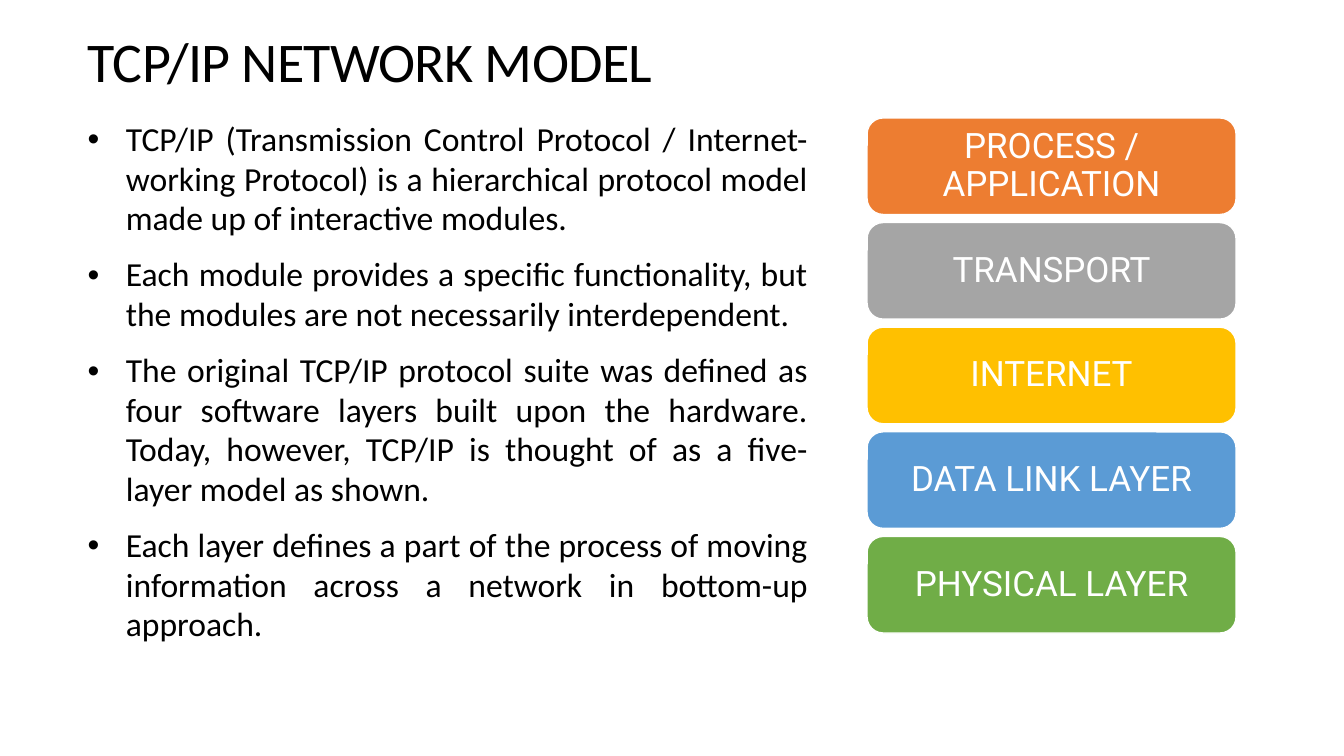
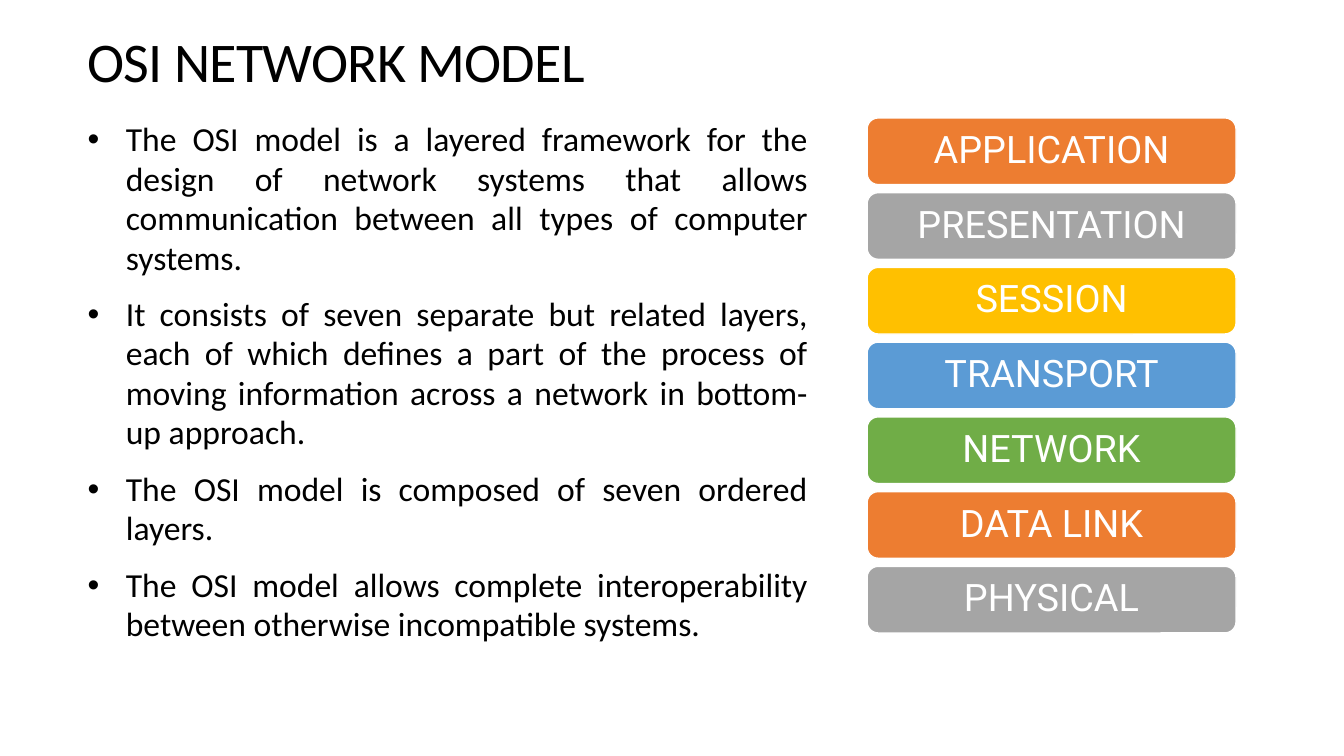
from itertools import cycle

from lxml.etree import SubElement
from pptx import Presentation
from pptx.dml.color import RGBColor
from pptx.enum.shapes import MSO_SHAPE
from pptx.enum.text import MSO_ANCHOR, PP_ALIGN
from pptx.oxml.ns import qn
from pptx.util import Pt

PX = 9144  # 100 px to the inch

BLACK, WHITE = "000000", "FFFFFF"
LAYER_COLOURS = ["ED7D31", "A5A5A5", "FFC000", "5B9BD5", "70AD47"]

TITLE_AREA = (77, 16, 1100, 97)
BODY_AREA = (77, 114, 734, 518)
STACK_AREA = (860, 117, 366, 511)
STACK_GAP = 8
BULLET_INDENT = 38

TITLE_FONT = {"name": "Calibri", "size": Pt(40)}
BODY_FONT = {"name": "Calibri", "size": Pt(24)}
TITLE_FORMAT = {"line_spacing": 0.85}
BODY_FORMAT = {"alignment": PP_ALIGN.JUSTIFY, "line_spacing": 0.98, "space_after": Pt(12)}
LAYER_FORMAT = {"alignment": PP_ALIGN.CENTER, "line_spacing": 0.9}

MODELS = [
    {
        "title": "TCP/IP NETWORK MODEL",
        "points": [
            "TCP/IP (Transmission Control Protocol / Internet-working Protocol) is a "
            "hierarchical protocol model made up of interactive modules.",
            "Each module provides a specific functionality, but the modules are not "
            "necessarily interdependent.",
            "The original TCP/IP protocol suite was defined as four software layers built "
            "upon the hardware. Today, however, TCP/IP is thought of as a five-layer model "
            "as shown.",
            "Each layer defines a part of the process of moving information across a "
            "network in bottom-up approach.",
        ],
        "layers": ["PROCESS / APPLICATION", "TRANSPORT", "INTERNET",
                   "DATA LINK LAYER", "PHYSICAL LAYER"],
        "layer_size": 25,
    },
    {
        "title": "OSI NETWORK MODEL",
        "points": [
            "The OSI model is a layered framework for the design of network systems that "
            "allows communication between all types of computer systems.",
            "It consists of seven separate but related layers, each of which defines a part "
            "of the process of moving information across a network in bottom-up approach.",
            "The OSI model is composed of seven ordered layers.",
            "The OSI model allows complete interoperability between otherwise incompatible "
            "systems.",
        ],
        "layers": ["APPLICATION", "PRESENTATION", "SESSION", "TRANSPORT",
                   "NETWORK", "DATA LINK", "PHYSICAL"],
        "layer_size": 27,
    },
]


def emu(*lengths):
    return [round(length * PX) for length in lengths]


def colour(hex_text):
    return RGBColor.from_string(hex_text)


def set_all(target, values):
    for name, value in values.items():
        setattr(target, name, value)


def write(para, text, para_format, font, text_colour):
    set_all(para, para_format)
    span = para.add_run()
    span.text = text
    set_all(span.font, font)
    span.font.color.rgb = colour(text_colour)
    return span


def add_bullet(para):
    properties = para._p.get_or_add_pPr()
    indent, = emu(BULLET_INDENT)
    properties.set("marL", str(indent))
    properties.set("indent", str(-indent))
    SubElement(properties, qn("a:buFont")).set("typeface", "Arial")
    SubElement(properties, qn("a:buChar")).set("char", "•")


def add_text_box(page, area, anchor):
    frame = page.shapes.add_textbox(*emu(*area)).text_frame
    set_all(frame, {"word_wrap": True, "vertical_anchor": anchor})
    return frame


def add_title(page, title):
    frame = add_text_box(page, TITLE_AREA, MSO_ANCHOR.MIDDLE)
    span = write(frame.paragraphs[0], title, TITLE_FORMAT, TITLE_FONT, BLACK)
    span.font._element.set("spc", "-50")


def add_points(page, points):
    frame = add_text_box(page, BODY_AREA, MSO_ANCHOR.TOP)
    for index, point in enumerate(points):
        para = frame.add_paragraph() if index else frame.paragraphs[0]
        write(para, point, BODY_FORMAT, BODY_FONT, BLACK)
        add_bullet(para)


def add_layers(page, layers, size):
    """Stack the layers at equal heights to fill the stack area."""
    left, top, width, total = STACK_AREA
    height = (total - STACK_GAP * (len(layers) - 1)) / len(layers)
    margin, = emu(10)
    for index, (layer, fill) in enumerate(zip(layers, cycle(LAYER_COLOURS))):
        y = top + index * (height + STACK_GAP)
        box = page.shapes.add_shape(MSO_SHAPE.ROUNDED_RECTANGLE, *emu(left, y, width, height))
        box.shadow.inherit = False
        box.fill.solid()
        box.fill.fore_color.rgb = colour(fill)
        box.line.color.rgb = colour(WHITE)
        box.line.width = Pt(1)
        frame = box.text_frame
        set_all(frame, {"word_wrap": True, "vertical_anchor": MSO_ANCHOR.MIDDLE,
                        "margin_left": margin, "margin_right": margin,
                        "margin_top": margin, "margin_bottom": margin})
        write(frame.paragraphs[0], layer, LAYER_FORMAT,
              {"name": "Roboto", "size": Pt(size)}, WHITE)


def main():
    deck = Presentation()
    deck.slide_width, deck.slide_height = emu(1333, 750)
    for model in MODELS:
        page = deck.slides.add_slide(deck.slide_layouts[6])
        add_title(page, model["title"])
        add_points(page, model["points"])
        add_layers(page, model["layers"], model["layer_size"])
    deck.save("out.pptx")


if __name__ == "__main__":
    main()
